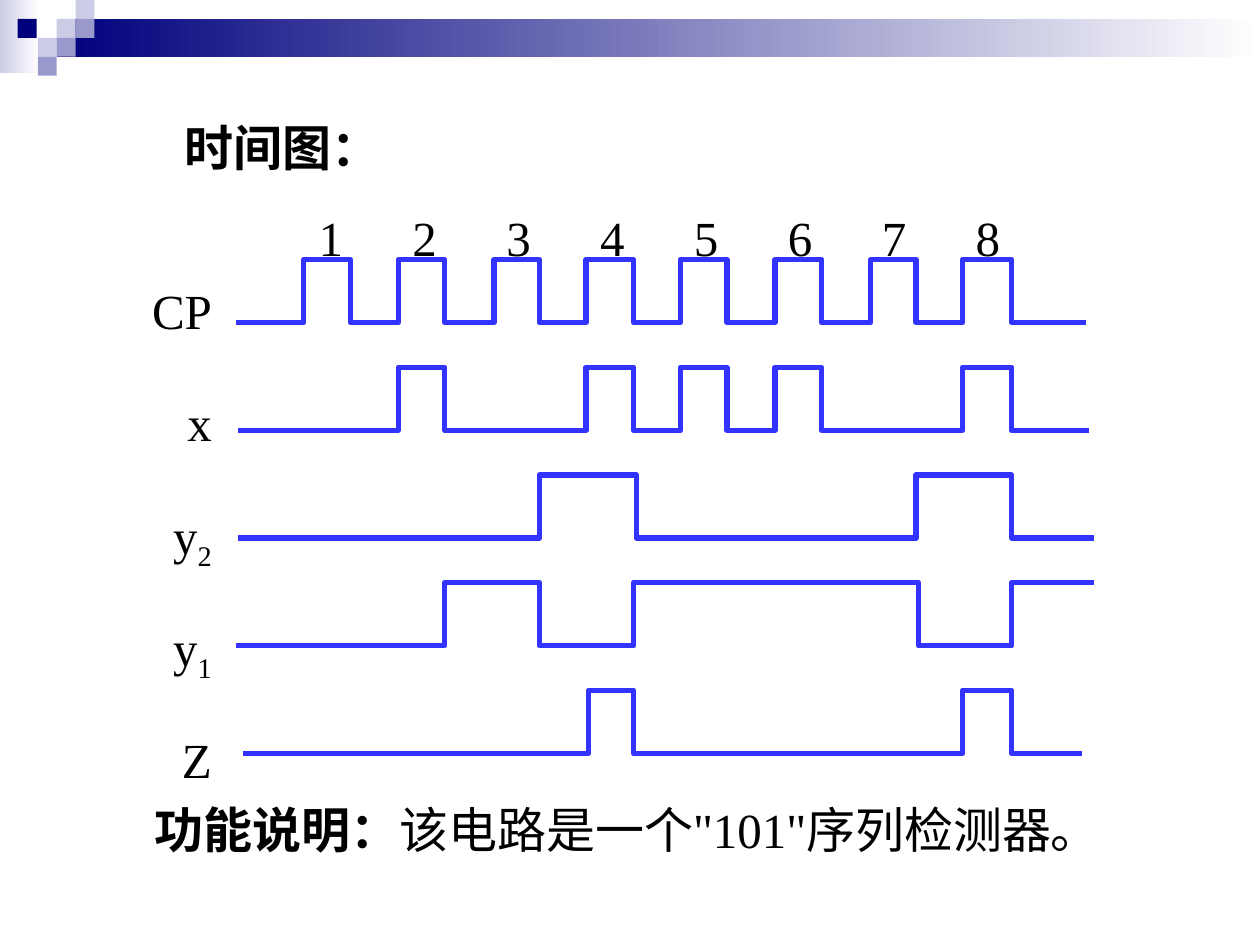
from dataclasses import dataclass

from pptx import Presentation
from pptx.dml.color import RGBColor
from pptx.enum.lang import MSO_LANGUAGE_ID
from pptx.enum.shapes import MSO_SHAPE
from pptx.enum.text import MSO_AUTO_SIZE, PP_ALIGN
from pptx.shapes.autoshape import Shape
from pptx.slide import Slide
from pptx.util import Inches, Pt

COLORS = {
    "navy": "00007D",
    "lavender": "CCCCE6",
    "periwinkle": "9999CC",
    "white": "FFFFFF",
    "signal": "3333FF",
    "text": "000000",
}
FONT_NAME = "Times New Roman"
TEXT_HEIGHT = 0.57
TILE_SIZE = 0.15
LABEL_RIGHT = 1.78
LABEL_TOP, LABEL_PITCH = 2.18, 0.89
SIGNAL_TOP, SIGNAL_PITCH, SIGNAL_HEIGHT = 2.06, 0.855, 0.5
PULSE_LEFT, PULSE_PITCH, PULSE_COUNT = 2.43, 0.745, 8


@dataclass(frozen=True)
class Band:
    left: float
    top: float
    width: float
    height: float
    color: str


@dataclass(frozen=True)
class Tile:
    left: float
    top: float
    color: str


@dataclass(frozen=True)
class Signal:
    name: str
    subscript: str
    label_width: float
    start: float
    edges: tuple[float, ...]
    end: float


BANDS = (
    Band(0, 0, 0.31, 0.58, "lavender"),
    Band(0.45, 0.15, 9.55, 0.3, "navy"),
)
TILES = (
    Tile(0.45, 0.15, "lavender"),
    Tile(0.6, 0, "lavender"),
    Tile(0.6, 0.15, "periwinkle"),
    Tile(0.3, 0.3, "lavender"),
    Tile(0.14, 0.15, "navy"),
    Tile(0.45, 0.3, "periwinkle"),
    Tile(0.3, 0.45, "periwinkle"),
)
SIGNALS = (
    Signal("CP", "", 0.68, 1.87,
           (2.41, 2.78, 3.16, 3.53, 3.92, 4.28, 4.65, 5.03,
            5.4, 5.77, 6.15, 6.52, 6.91, 7.27, 7.64, 8.03), 8.62),
    Signal("x", "", 0.4, 1.89,
           (3.16, 3.53, 4.65, 5.03, 5.4, 5.77, 6.15, 6.52, 7.64, 8.03), 8.64),
    Signal("y", "2", 0.53, 1.89, (4.28, 5.05, 7.27, 8.03), 8.68),
    Signal("y", "1", 0.53, 1.87, (3.53, 4.28, 5.03, 7.29, 8.03), 8.68),
    Signal("Z", "", 0.44, 1.93, (4.67, 5.03, 7.64, 8.03), 8.59),
)


def color(name: str) -> RGBColor:
    return RGBColor.from_string(COLORS[name])


def add_rectangle(slide: Slide, left: float, top: float, width: float, height: float) -> Shape:
    shape = slide.shapes.add_shape(
        MSO_SHAPE.RECTANGLE, Inches(left), Inches(top), Inches(width), Inches(height)
    )
    shape.shadow.inherit = False
    shape.line.fill.background()
    return shape


def add_band(slide: Slide, band: Band) -> None:
    shape = add_rectangle(slide, band.left, band.top, band.width, band.height)
    shape.fill.gradient()
    shape.fill.gradient_angle = 0
    for stop, name in zip(shape.fill.gradient_stops, (band.color, "white")):
        stop.color.rgb = color(name)


def add_tile(slide: Slide, tile: Tile) -> None:
    shape = add_rectangle(slide, tile.left, tile.top, TILE_SIZE, TILE_SIZE)
    shape.fill.solid()
    shape.fill.fore_color.rgb = color(tile.color)


def add_text(slide: Slide, text: str, *, left: float, top: float, width: float,
             heading: str = "", subscript: str = "",
             align: PP_ALIGN = PP_ALIGN.LEFT) -> None:
    box = slide.shapes.add_textbox(
        Inches(left), Inches(top), Inches(width), Inches(TEXT_HEIGHT)
    )
    frame = box.text_frame
    frame.word_wrap = False
    frame.auto_size = MSO_AUTO_SIZE.SHAPE_TO_FIT_TEXT
    paragraph = frame.paragraphs[0]
    paragraph.alignment = align
    for part, bold, baseline in ((heading, True, 0), (text, False, 0), (subscript, False, -25000)):
        if not part:
            continue
        run = paragraph.add_run()
        run.text = part
        run.font.name = FONT_NAME
        run.font.size = Pt(28)
        run.font.bold = bold
        run.font.color.rgb = color("text")
        run.font.language_id = MSO_LANGUAGE_ID.SIMPLIFIED_CHINESE
        if baseline:
            run._r.get_or_add_rPr().set("baseline", str(baseline))


def add_waveform(slide: Slide, signal: Signal, top: float) -> None:
    level, other = top + SIGNAL_HEIGHT, top
    points = []
    for edge in signal.edges:
        points += [(edge, level), (edge, other)]
        level, other = other, level
    points.append((signal.end, level))
    builder = slide.shapes.build_freeform(Inches(signal.start), Inches(top + SIGNAL_HEIGHT))
    builder.add_line_segments([(Inches(x), Inches(y)) for x, y in points], close=False)
    shape = builder.convert_to_shape()
    shape.shadow.inherit = False
    shape.fill.background()
    shape.line.color.rgb = color("signal")
    shape.line.width = Pt(3)


def main() -> None:
    presentation = Presentation()
    presentation.slide_width = Inches(10)
    presentation.slide_height = Inches(7.5)
    slide = presentation.slides.add_slide(presentation.slide_layouts[6])

    for band in BANDS:
        add_band(slide, band)
    for tile in TILES:
        add_tile(slide, tile)
    for row, signal in enumerate(SIGNALS):
        add_waveform(slide, signal, SIGNAL_TOP + row * SIGNAL_PITCH)
        add_text(slide, signal.name, subscript=signal.subscript,
                 left=LABEL_RIGHT - signal.label_width, top=LABEL_TOP + row * LABEL_PITCH,
                 width=signal.label_width, align=PP_ALIGN.RIGHT)
    for pulse in range(PULSE_COUNT):
        add_text(slide, str(pulse + 1), left=PULSE_LEFT + pulse * PULSE_PITCH, top=1.6, width=0.4)
    add_text(slide, "", heading="时间图：", left=1.37, top=0.88, width=1.76)
    add_text(slide, "该电路是一个\"101\"序列检测器。", heading="功能说明：",
             left=1.13, top=6.3, width=7.72)

    presentation.save("out.pptx")


if __name__ == "__main__":
    main()
